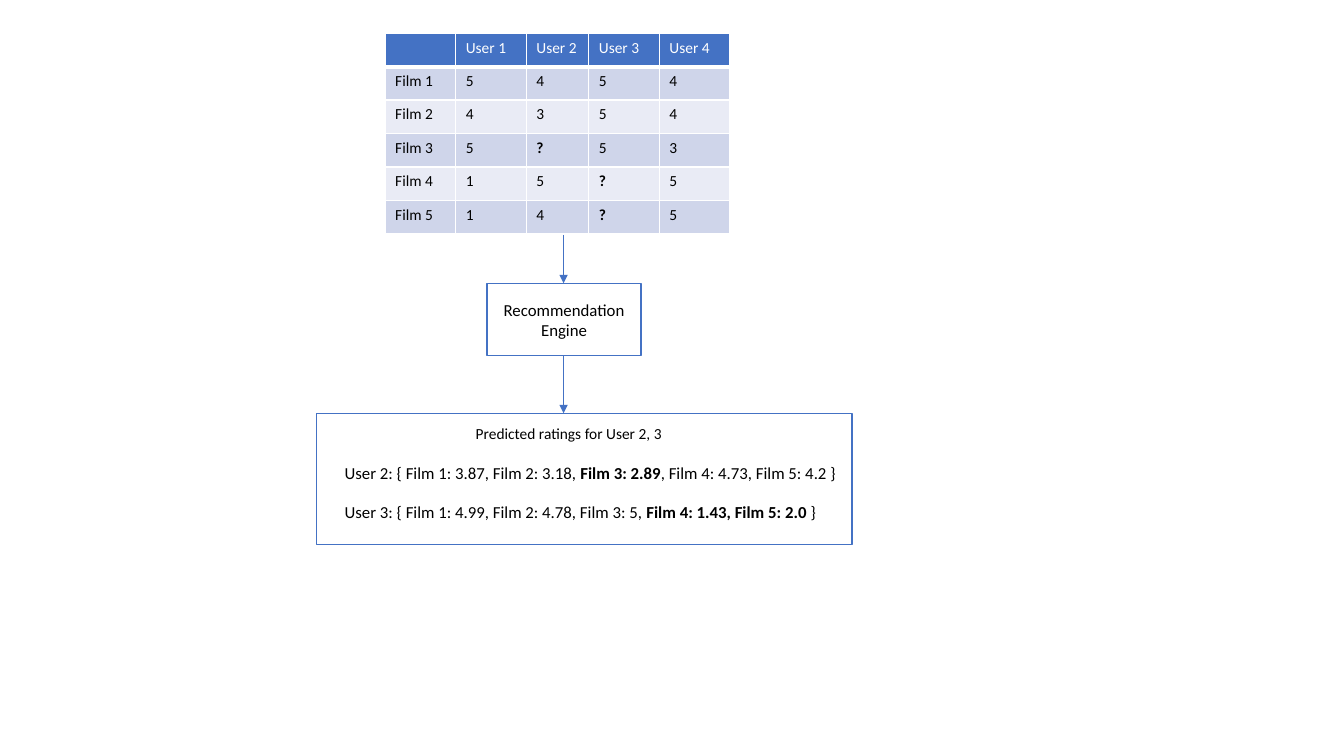
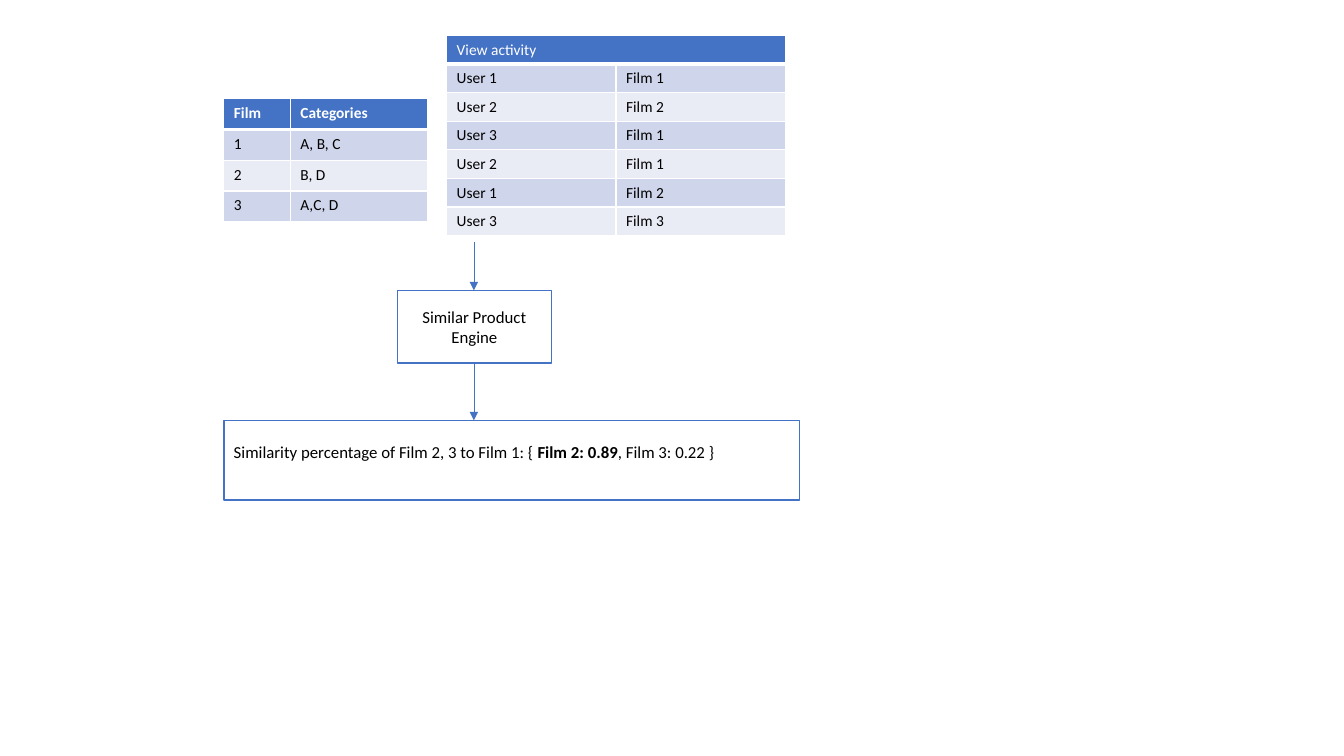
from lxml.etree import SubElement
from pptx import Presentation
from pptx.dml.color import RGBColor
from pptx.enum.shapes import MSO_CONNECTOR as CONNECTOR, MSO_SHAPE as SHAPE
from pptx.enum.text import MSO_ANCHOR as ANCHOR, PP_ALIGN as ALIGN
from pptx.oxml import parse_xml
from pptx.oxml.ns import nsdecls, qn
from pptx.util import Emu, Pt

EMU_PER_PX = 9144
BLUE = RGBColor(0x44, 0x72, 0xC4)
DARK_BAND = RGBColor(0xCF, 0xD5, 0xEA)
LIGHT_BAND = RGBColor(0xE9, 0xEB, 0xF5)
WHITE = RGBColor(0xFF, 0xFF, 0xFF)
BLACK = RGBColor(0x00, 0x00, 0x00)
FONT = "Calibri"
SMALL, BODY = 11, 12

ENGINE_W, ENGINE_H = 153, 72
ARROW_IN, ARROW_OUT = 48, 57
NOTE_H = 30


def px(length):
    return Emu(length * EMU_PER_PX)


def box_px(*lengths):
    return [px(length) for length in lengths]


def add_run(paragraph, text, size, color=BLACK, bold=False):
    run = paragraph.add_run()
    run.text = text
    run.font.name = FONT
    run.font.size = Pt(size)
    run.font.bold = bold
    run.font.color.rgb = color


def border_cell(cell, bottom):
    """Draw white cell edges, with the bottom one as wide as asked, in points."""
    properties = cell._tc.get_or_add_tcPr()
    widths = {"lnL": 1, "lnR": 1, "lnT": 1, "lnB": bottom}
    for index, (edge, width) in enumerate(widths.items()):
        properties.insert(index, parse_xml(
            f'<a:{edge} {nsdecls("a")} w="{Pt(width)}"><a:solidFill>'
            f'<a:srgbClr val="{WHITE}"/></a:solidFill></a:{edge}>'))


def add_grid(slide, left, top, height, columns, rows, bold_header=False):
    """Place a banded table whose first row is the header."""
    frame = slide.shapes.add_table(
        len(rows), len(columns), *box_px(left, top, sum(columns), height))
    table = frame.table
    for column, width in zip(table.columns, columns):
        column.width = px(width)
    for r, values in enumerate(rows):
        header = r == 0
        table.rows[r].height = px(height) // len(rows)
        fill = BLUE if header else DARK_BAND if r % 2 else LIGHT_BAND
        for c, value in enumerate(values):
            cell = table.cell(r, c)
            cell.fill.solid()
            cell.fill.fore_color.rgb = fill
            border_cell(cell, 3 if header else 1)
            paragraph = cell.text_frame.paragraphs[0]
            if value:
                add_run(paragraph, value, SMALL, WHITE if header else BLACK,
                        bold_header if header else value == "?")
            else:
                SubElement(paragraph._p, qn("a:endParaRPr"), sz=str(SMALL * 100))
    return table


def add_frame(slide, left, top, width, height):
    frame = slide.shapes.add_shape(
        SHAPE.RECTANGLE, *box_px(left, top, width, height))
    frame.shadow.inherit = False
    frame.fill.solid()
    frame.fill.fore_color.rgb = WHITE
    frame.line.color.rgb = BLUE
    frame.line.width = Pt(1)
    return frame


def add_down_arrow(slide, axis, top, length):
    arrow = slide.shapes.add_connector(
        CONNECTOR.STRAIGHT, *box_px(axis, top, axis, top + length))
    arrow.line.color.rgb = BLUE
    arrow.line.width = Pt(0.5)
    SubElement(arrow.line._get_or_add_ln(), qn("a:tailEnd"), type="triangle")
    SubElement(arrow._element.spPr, qn("a:effectLst"))


def add_note(slide, left, top, width, runs, size=BODY):
    note = slide.shapes.add_textbox(*box_px(left, top, width, NOTE_H))
    note.text_frame.word_wrap = True
    for text, bold in runs:
        add_run(note.text_frame.paragraphs[0], text, size, bold=bold)


def add_flow(slide, axis, top, engine_name, left, width, height, notes):
    """Run arrows down through the engine to a result panel; notes sit inside the panel."""
    engine_top = top + ARROW_IN
    engine_bottom = engine_top + ENGINE_H
    panel_top = engine_bottom + ARROW_OUT
    add_frame(slide, left, panel_top, width, height)
    add_down_arrow(slide, axis, top, ARROW_IN)
    engine = add_frame(slide, axis - ENGINE_W // 2, engine_top, ENGINE_W, ENGINE_H)
    label = engine.text_frame
    label.word_wrap = True
    label.vertical_anchor = ANCHOR.MIDDLE
    label.paragraphs[0].alignment = ALIGN.CENTER
    add_run(label.paragraphs[0], engine_name, BODY)
    add_down_arrow(slide, axis, engine_bottom, ARROW_OUT)
    for dx, dy, note_width, runs, size in notes:
        add_note(slide, left + dx, panel_top + dy, note_width, runs, size)


def build_recommendation(slide):
    ratings = [
        ["", "User 1", "User 2", "User 3", "User 4"],
        ["Film 1", "5", "4", "5", "4"],
        ["Film 2", "4", "3", "5", "4"],
        ["Film 3", "5", "?", "5", "3"],
        ["Film 4", "1", "5", "?", "5"],
        ["Film 5", "1", "4", "?", "5"],
    ]
    add_grid(slide, 382, 33, 199, [70, 70, 62, 70, 70], ratings)
    user_2 = [("User 2: { Film 1: 3.87, Film 2: 3.18, ", False),
              ("Film 3: 2.89", True),
              (", Film 4: 4.73, Film 5: 4.2 }", False)]
    user_3 = [("User 3: { Film 1: 4.99, Film 2: 4.78, Film 3: 5, ", False),
              ("Film 4: 1.43, Film 5: 2.0 ", True),
              ("}", False)]
    caption = [("Predicted ratings for User 2, 3", False)]
    add_flow(slide, 559, 233, "Recommendation Engine", 314, 531, 130, [
        (18, 44, 517, user_2, BODY),
        (18, 83, 517, user_3, BODY),
        (148, 6, 210, caption, SMALL),
    ])


def build_similarity(slide):
    similarity = [("Similarity percentage of Film 2, 3 to Film 1: { ", False),
                  ("Film 2: 0.89", True),
                  (", Film 3: 0.22 }", False)]
    add_flow(slide, 470, 240, "Similar Product Engine", 222, 571, 79,
             [(0, 16, 520, similarity, BODY)])
    categories = [["Film", "Categories"], ["1", "A, B, C"],
                  ["2", "B, D"], ["3", "A,C, D"]]
    add_grid(slide, 222, 98, 122, [66, 136], categories, bold_header=True)
    views = [["View activity", ""], ["User 1", "Film 1"], ["User 2", "Film 2"],
             ["User 3", "Film 1"], ["User 2", "Film 1"], ["User 1", "Film 2"],
             ["User 3", "Film 3"]]
    activity = add_grid(slide, 443, 35, 198, [168, 168], views)
    activity.cell(0, 0).merge(activity.cell(0, 1))


def main():
    deck = Presentation()
    deck.slide_width, deck.slide_height = px(1333), px(750)
    blank = deck.slide_layouts[6]
    for build in (build_recommendation, build_similarity):
        build(deck.slides.add_slide(blank))
    deck.save("out.pptx")


if __name__ == "__main__":
    main()
